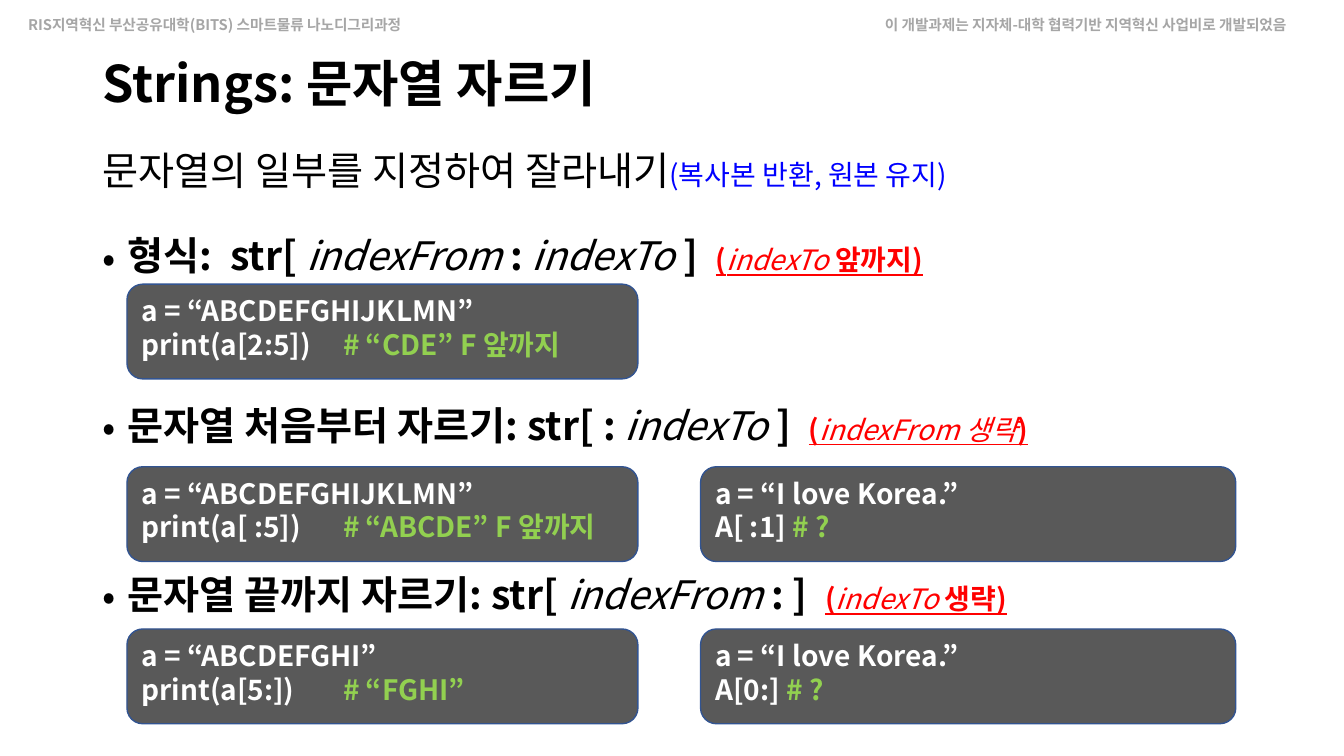
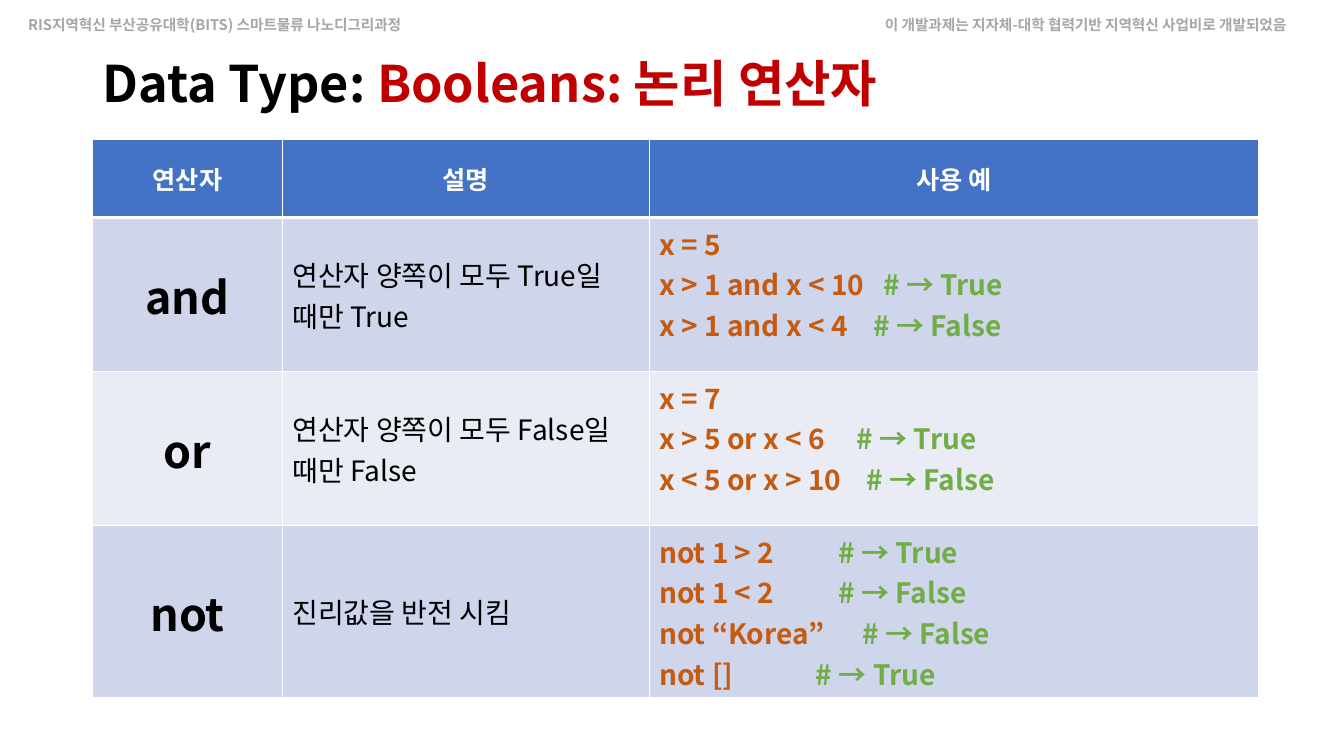
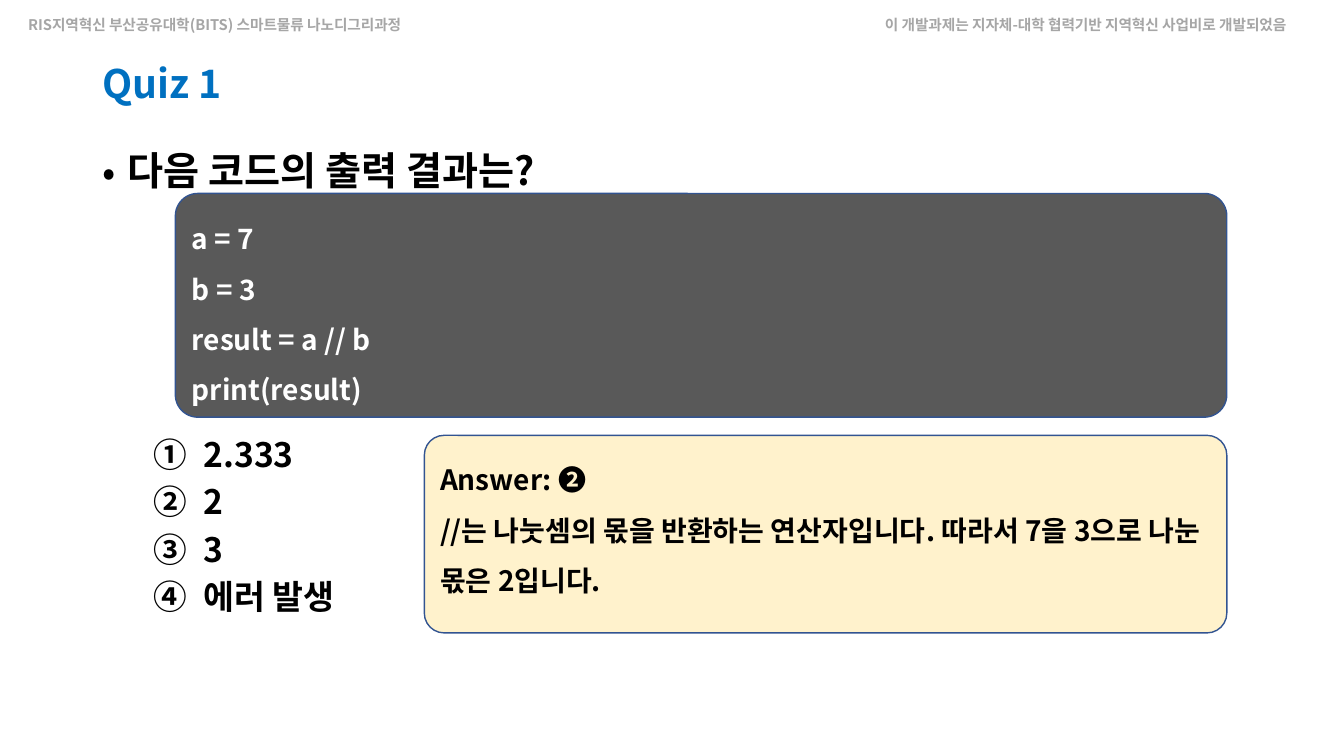
"""Build three Python lecture slides: string slicing, boolean operators and a quiz."""
from lxml import etree
from pptx import Presentation
from pptx.dml.color import RGBColor
from pptx.enum import shapes, text
from pptx.oxml.ns import qn
from pptx.util import Pt

FONT = "Noto Sans CJK KR"
BLACK, WHITE, GRAY, RED = "000000", "FFFFFF", "A6A6A6", "FF0000"
CODE_FILL, CODE_LINE, CODE_COMMENT = "595959", "325491", "92D050"
ANSWER_FILL, HEADER_FILL = "FFF2CC", "4472C4"
BANDS = ("CFD5EA", "E9EBF5")
EXAMPLE, RESULT = "C55A11", "70AD47"
TEXT_LEFT = 73.4
HEADING_TOP = 104.5

PLAIN = {"size": 28}
BOLD = {"size": 28, "bold": True}
ITALIC = {"size": 28, "italic": True}
NOTE = {"size": 20, "color": RED, "bold": True, "underline": True}
NOTE_ITALIC = {"size": 20, "color": RED, "italic": True, "underline": True}
CODE = {"size": 20, "color": WHITE, "bold": True}
COMMENT = {**CODE, "color": CODE_COMMENT}
ANSWER = {"size": 20, "bold": True}
OPTION = {"size": 24, "bold": True}
TITLE = {"size": 36, "bold": True}
BANNER = {"size": 10.5, "color": GRAY, "bold": True}

BANNERS = [
    (13, 305, "RIS지역혁신 부산공유대학(BITS) 스마트물류 나노디그리과정"),
    (625, 335, "이 개발과제는 지자체-대학 협력기반 지역혁신 사업비로 개발되었음"),
]

SLICING_LEAD = [("문자열의 일부를 지정하여 잘라내기", PLAIN),
                ("(복사본 반환, 원본 유지)", {"size": 20, "color": "0000FF"})]
SLICING_HEADINGS = [
    [("형식:  str[ ", BOLD), ("indexFrom", ITALIC), (" : ", BOLD), ("indexTo", ITALIC),
     (" ]  ", BOLD), ("(", NOTE), ("indexTo", NOTE_ITALIC), (" 앞까지)", NOTE)],
    [("문자열 처음부터 자르기: str[ : ", BOLD), ("indexTo", ITALIC), (" ]  ", BOLD),
     ("(", NOTE), ("indexFrom 생략", NOTE_ITALIC), (")", NOTE)],
    [("문자열 끝까지 자르기: str[ ", BOLD), ("indexFrom ", ITALIC), (": ]  ", BOLD),
     ("(", NOTE), ("indexTo", NOTE_ITALIC), (" 생략)", NOTE)],
]
CODE_COLUMNS = [(90.7, 365), (500.4, 382.3)]
CODE_ROWS = [
    (203, [("a = “ABCDEFGHIJKLMN”", "print(a[2:5])\t", "# “CDE” F 앞까지")]),
    (333.4, [("a = “ABCDEFGHIJKLMN”", "print(a[ :5])\t", "# “ABCDE” F 앞까지"),
             ("a = “I love Korea.”", "A[ :1] ", "# ?")]),
    (449.3, [("a = “ABCDEFGHI”", "print(a[5:])\t", "# “FGHI”"),
             ("a = “I love Korea.”", "A[0:] ", "# ?")]),
]

TABLE_HEADER = ["연산자", "설명", "사용 예"]
OPERATORS = [
    ("and", "연산자 양쪽이 모두 True일 때만 True",
     [("x = 5", 0, ""), ("x > 1 and x < 10", 160, "# → True"),
      ("x > 1 and x < 4", 153, "# → False")]),
    ("or", "연산자 양쪽이 모두 False일 때만 False",
     [("x = 7", 0, ""), ("x > 5 or x < 6", 141, "# → True"),
      ("x < 5 or x > 10", 148, "# → False")]),
    ("not", "진리값을 반전 시킴",
     [("not 1 > 2", 128, "# → True"), ("not 1 < 2", 128, "# → False"),
      ("not “Korea”", 145, "# → False"), ("not []", 112, "# → True")]),
]
COLUMN_WIDTHS = [135.5, 262, 435.5]
ROW_HEIGHTS = [56, 110, 110, 123]

QUIZ_CODE = ["a = 7", "b = 3", "result = a // b", "print(result)"]
QUIZ_OPTIONS = ["2.333", "2", "3", "에러 발생"]
QUIZ_ANSWER = ["Answer: ❷",
               "//는 나눗셈의 몫을 반환하는 연산자입니다. 따라서 7을 3으로 나눈 몫은 2입니다."]


def rgb(value):
    """Turn a hex string into a colour."""
    return RGBColor.from_string(value)


def add_run(paragraph, content, size, color=BLACK, bold=False, italic=False, underline=False):
    """Append one styled run."""
    run = paragraph.add_run()
    run.text = content
    font = run.font
    font.name, font.size = FONT, Pt(size)
    font.bold, font.italic, font.underline = bold, italic, underline
    font.color.rgb = rgb(color)
    etree.SubElement(font._element, qn("a:ea"), typeface=FONT)


def write(frame, paragraphs, line_spacing=None, align=text.PP_ALIGN.LEFT, decorate=None):
    """Fill a text frame with paragraphs, each a list of (text, style) runs."""
    for index, runs in enumerate(paragraphs):
        paragraph = frame.add_paragraph() if index else frame.paragraphs[0]
        if decorate:
            decorate(paragraph)
        paragraph.alignment = align
        if line_spacing:
            paragraph.line_spacing = line_spacing
        for content, style in runs:
            add_run(paragraph, content, **style)


def set_bullet(paragraph, tag, indent, left, **attributes):
    """Give a paragraph a hanging bullet or number."""
    properties = paragraph._p.get_or_add_pPr()
    properties.set("marL", str(Pt(left)))
    properties.set("indent", str(Pt(-indent)))
    etree.SubElement(properties, qn("a:buFont"), typeface=FONT)
    etree.SubElement(properties, qn(tag), **attributes)


def dot(paragraph):
    """Mark a paragraph with a round bullet."""
    set_bullet(paragraph, "a:buChar", 18, 18, char="•")


def circled_number(paragraph):
    """Mark a paragraph with a circled number."""
    set_bullet(paragraph, "a:buAutoNum", 36, 72, type="circleNumDbPlain")


def add_text(slide, left, top, width, height, paragraphs, inset=True, anchor=None, **options):
    """Add a wrapping text box."""
    frame = slide.shapes.add_textbox(Pt(left), Pt(top), Pt(width), Pt(height)).text_frame
    frame.word_wrap = True
    if not inset:
        frame.margin_left = frame.margin_right = frame.margin_top = frame.margin_bottom = 0
    if anchor is not None:
        frame.vertical_anchor = anchor
    write(frame, paragraphs, **options)


def add_heading(slide, top, runs, decorate=dot):
    """Add one line of body text."""
    add_text(slide, TEXT_LEFT, top, 855, 41, [runs], inset=False, decorate=decorate)


def add_panel(slide, left, top, width, height, fill, paragraphs, line_spacing, corner=None):
    """Add a rounded panel holding code or an answer."""
    panel = slide.shapes.add_shape(shapes.MSO_SHAPE.ROUNDED_RECTANGLE,
                                   Pt(left), Pt(top), Pt(width), Pt(height))
    panel.shadow.inherit = False
    if corner:
        panel.adjustments[0] = corner
    panel.fill.solid()
    panel.fill.fore_color.rgb = rgb(fill)
    panel.line.color.rgb = rgb(CODE_LINE)
    panel.line.width = Pt(1)
    panel.text_frame.word_wrap = True
    panel.text_frame.vertical_anchor = text.MSO_ANCHOR.TOP
    write(panel.text_frame, paragraphs, Pt(line_spacing))


def add_slide(presentation, title):
    """Add a slide with the shared banners and a title."""
    slide = presentation.slides.add_slide(presentation.slide_layouts[6])
    for left, width, content in BANNERS:
        add_text(slide, left, 8, width, 20, [[(content, BANNER)]])
    add_text(slide, 66.2, 29, 828, 65, [title], anchor=text.MSO_ANCHOR.MIDDLE, line_spacing=0.9)
    return slide


def style_cell(cell, fill, bottom=1, anchor=text.MSO_ANCHOR.MIDDLE):
    """Set a cell's white borders, fill and anchor."""
    properties = cell._tc.get_or_add_tcPr()
    for side, width in (("L", 1), ("R", 1), ("T", 1), ("B", bottom)):
        line = etree.SubElement(properties, qn(f"a:ln{side}"), w=str(Pt(width)))
        solid = etree.SubElement(line, qn("a:solidFill"))
        etree.SubElement(solid, qn("a:srgbClr"), val=WHITE)
    cell.fill.solid()
    cell.fill.fore_color.rgb = rgb(fill)
    cell.vertical_anchor = anchor


def write_examples(frame, examples):
    """Write code lines whose results start at a tab stop."""
    for index, (code, stop, result) in enumerate(examples):
        paragraph = frame.add_paragraph() if index else frame.paragraphs[0]
        if result:
            tabs = etree.SubElement(paragraph._p.get_or_add_pPr(), qn("a:tabLst"))
            etree.SubElement(tabs, qn("a:tab"), pos=str(Pt(stop)), algn="l")
        add_run(paragraph, code, 20, EXAMPLE, bold=True)
        if result:
            add_run(paragraph, "\t" + result, 20, RESULT, bold=True)


def build_slicing(presentation):
    """Build the string slicing slide."""
    slide = add_slide(presentation, [("Strings: 문자열 자르기", TITLE)])
    add_heading(slide, HEADING_TOP, SLICING_LEAD, decorate=None)
    for index, runs in enumerate(SLICING_HEADINGS):
        add_heading(slide, HEADING_TOP + 61 + 121 * index, runs)
    for top, samples in CODE_ROWS:
        for (left, width), (first, second, comment) in zip(CODE_COLUMNS, samples):
            lines = [[(first, CODE)], [(second, CODE), (comment, COMMENT)]]
            add_panel(slide, left, top, width, 67.7, CODE_FILL, lines, 24)


def build_operators(presentation):
    """Build the boolean operator table slide."""
    slide = add_slide(presentation, [("Data Type: ", TITLE),
                                     ("Booleans: 논리 연산자", {**TITLE, "color": "C00000"})])
    table = slide.shapes.add_table(len(ROW_HEIGHTS), len(COLUMN_WIDTHS), Pt(66.2), Pt(99.4),
                                   Pt(sum(COLUMN_WIDTHS)), Pt(sum(ROW_HEIGHTS))).table
    for column, width in zip(table.columns, COLUMN_WIDTHS):
        column.width = Pt(width)
    for row, height in zip(table.rows, ROW_HEIGHTS):
        row.height = Pt(height)
    center = text.PP_ALIGN.CENTER
    for cell, label in zip(table.rows[0].cells, TABLE_HEADER):
        style_cell(cell, HEADER_FILL, bottom=3)
        write(cell.text_frame, [[(label, {**CODE, "size": 18})]], align=center)
    for index, (operator, meaning, examples) in enumerate(OPERATORS):
        name, description, usage = table.rows[index + 1].cells
        fill = BANDS[index % 2]
        style_cell(name, fill)
        style_cell(description, fill)
        style_cell(usage, fill, anchor=text.MSO_ANCHOR.TOP)
        write(name.text_frame, [[(operator, {"size": 32, "bold": True})]], align=center)
        write(description.text_frame, [[(meaning, {"size": 20})]])
        write_examples(usage.text_frame, examples)


def build_quiz(presentation):
    """Build the quiz slide."""
    slide = add_slide(presentation, [("Quiz 1", {**BOLD, "color": "0070C0"})])
    add_heading(slide, HEADING_TOP, [("다음 코드의 출력 결과는?", BOLD)])
    add_text(slide, TEXT_LEFT, 305, 225, 136, [[(option, OPTION)] for option in QUIZ_OPTIONS],
             inset=False, line_spacing=Pt(33.8), decorate=circled_number)
    add_panel(slide, 125.3, 138.2, 751, 159.8, CODE_FILL,
              [[(line, CODE)] for line in QUIZ_CODE], 36, 0.1)
    add_panel(slide, 303.1, 311, 573.2, 141.1, ANSWER_FILL,
              [[(line, ANSWER)] for line in QUIZ_ANSWER], 36, 0.1)


def main():
    """Build and save the presentation."""
    presentation = Presentation()
    presentation.slide_width, presentation.slide_height = Pt(960), Pt(540)
    build_slicing(presentation)
    build_operators(presentation)
    build_quiz(presentation)
    presentation.save("out.pptx")


if __name__ == "__main__":
    main()
